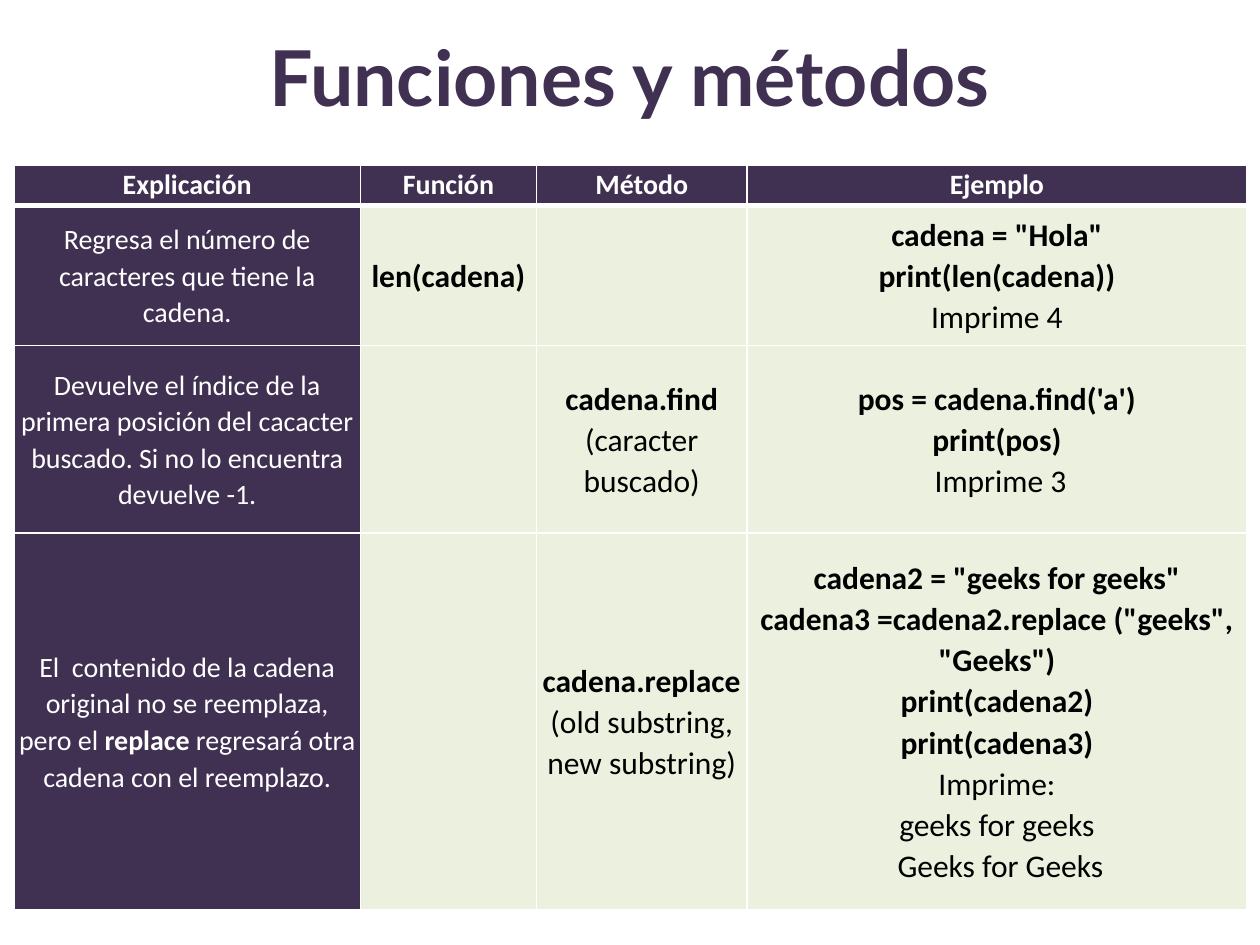
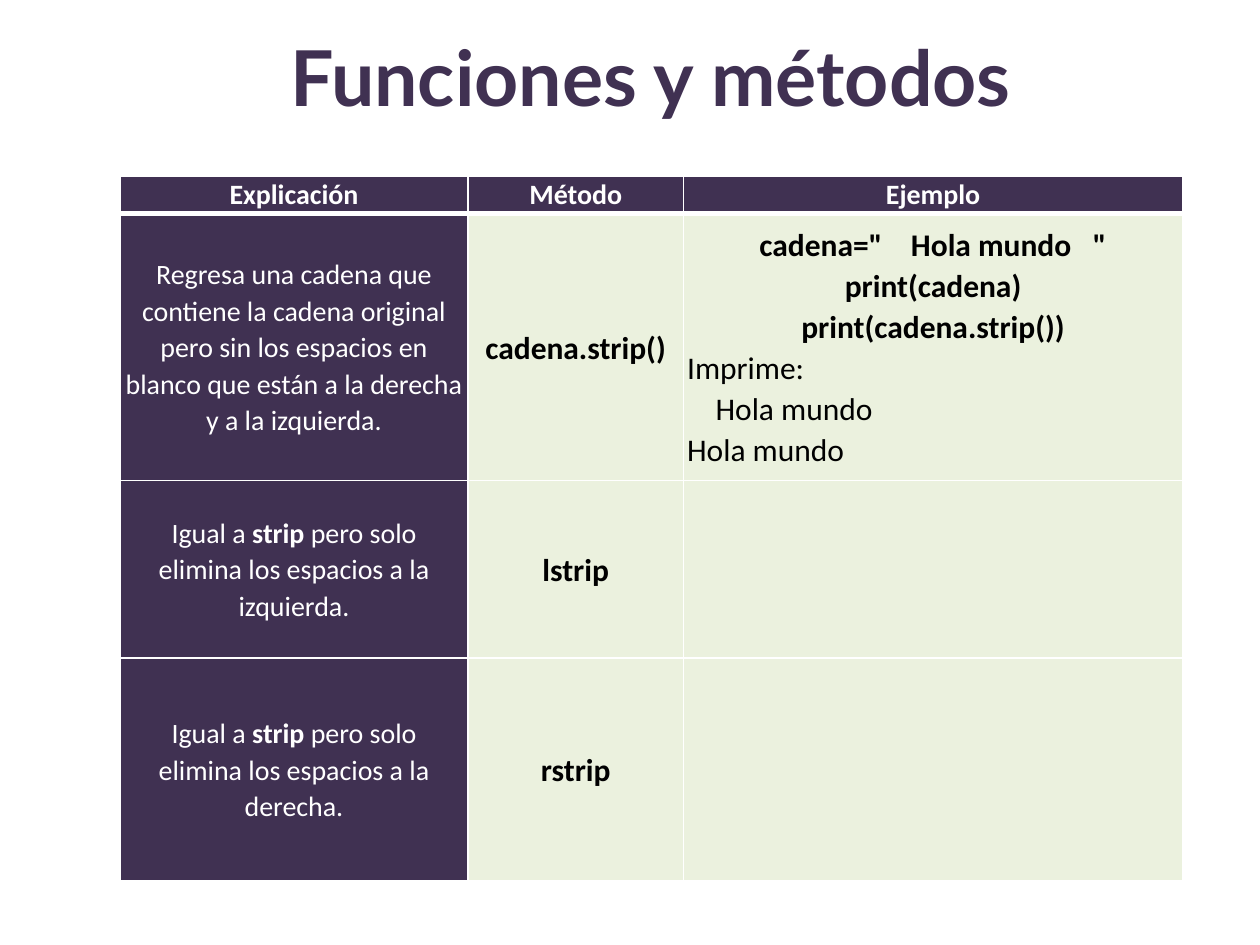
from pptx import Presentation
from pptx.util import Pt
from pptx.dml.color import RGBColor as Rgb
from pptx.enum.text import MSO_ANCHOR as Anchor, PP_ALIGN as Align
from pptx.oxml.ns import qn
from lxml.etree import SubElement as Sub

PLUM, SAGE, WHITE, BLACK = "403152", "EBF1DE", "FFFFFF", "000000"
HEAD, BODY = "Lato", "Calibri"
SMALL, LARGE = 16, 18


def color(code):
    return Rgb.from_string(code)


class Deck:
    """Holds the shared style and the current slide."""

    def __init__(self):
        self.prs = Presentation()
        self.prs.slide_width, self.prs.slide_height = Pt(720), Pt(540)
        self.slide = None

    def page(self):
        self.slide = self.prs.slides.add_slide(self.prs.slide_layouts[6])
        fill = self.slide.background.fill
        fill.solid()
        fill.fore_color.rgb = color(WHITE)

    def run(self, para, text, font, size, tint, bold):
        run = para.add_run()
        run.text = text
        run.font.name, run.font.size = font, Pt(size)
        run.font.bold, run.font.color.rgb = bold, color(tint)

    def title(self, text, left):
        box = self.slide.shapes.add_textbox(Pt(left), Pt(-2), Pt(576), Pt(90))
        frame = box.text_frame
        frame.word_wrap = True
        frame.vertical_anchor = Anchor.MIDDLE
        para = frame.paragraphs[0]
        para.alignment = Align.CENTER
        self.run(para, text, HEAD, 44, PLUM, True)

    def border(self, cell, row):
        """White rules, with a thick one below the header."""
        props = cell._tc.get_or_add_tcPr()
        thick = {"lnT": row == 1, "lnB": row == 0}
        for spot, side in enumerate(("lnL", "lnR", "lnT", "lnB")):
            width = Pt(3 if thick.get(side) else 1)
            line = props.makeelement(qn("a:" + side), {"w": str(int(width))})
            fill = Sub(line, qn("a:solidFill"))
            Sub(fill, qn("a:srgbClr"), val=WHITE)
            props.insert(spot, line)

    def label(self, cell, text, size, tint):
        """One paragraph a line; ** toggles bold, a leading < aligns left."""
        frame = cell.text_frame
        for i, line in enumerate(text.split("\n")):
            para = frame.add_paragraph() if i else frame.paragraphs[0]
            para.alignment = Align.LEFT if line.startswith("<") else Align.CENTER
            para.line_spacing = 1.07
            for j, part in enumerate(line.removeprefix("<").split("**")):
                if part:
                    self.run(para, part, BODY, size, tint, j % 2 == 1)

    def table(self, left, top, cols, rows, data, pads):
        shape = self.slide.shapes.add_table(
            len(rows), len(cols), Pt(left), Pt(top), Pt(sum(cols)), Pt(sum(rows)))
        grid = shape.table
        for col, width in zip(grid.columns, cols):
            col.width = Pt(width)
        for r, (high, texts, pad) in enumerate(zip(rows, data, pads)):
            grid.rows[r].height = Pt(high)
            for c, text in enumerate(texts):
                cell = grid.cell(r, c)
                dark = r == 0 or c == 0
                cell.fill.solid()
                cell.fill.fore_color.rgb = color(PLUM if dark else SAGE)
                cell.margin_left = cell.margin_right = Pt(pad)
                cell.margin_top = cell.margin_bottom = 0
                cell.vertical_anchor = Anchor.MIDDLE if r else Anchor.TOP
                self.border(cell, r)
                if text:
                    self.label(cell, text, SMALL if dark else LARGE,
                               WHITE if dark else BLACK)


SEARCH = [
    ["**Explicación**", "**Función**", "**Método**", "**Ejemplo**"],
    ["Regresa el número de caracteres que tiene la cadena.",
     "**len(cadena)**", "",
     '**cadena = "Hola"**\n**print(len(cadena))**\nImprime 4'],
    ["Devuelve el índice de la primera posición del cacacter buscado. "
     "Si no lo encuentra devuelve -1.",
     "", "**cadena.find **(caracter buscado)",
     "**pos = cadena.find('a')**\n**print(pos)**\n Imprime 3"],
    ["El  contenido de la cadena original no se reemplaza, "
     "pero el **replace** regresará otra cadena con el reemplazo.",
     "", "**cadena.replace**(old substring, new substring)",
     '**cadena2 = "geeks for geeks"**\n'
     '**cadena3 =cadena2.replace ("geeks", "Geeks")**\n'
     "**print(cadena2)**\n**print(cadena3)**\n"
     "Imprime:\ngeeks for geeks\n Geeks for Geeks"],
]

STRIP = [
    ["**Explicación**", "**Método**", "**Ejemplo**"],
    ["Regresa una cadena que contiene la cadena original pero sin los "
     "espacios en blanco que están a la derecha y a la izquierda.",
     "**cadena.strip()**",
     '**cadena="    Hola mundo   "**\n**print(cadena)**\n'
     "**print(cadena.strip())**\n"
     "<Imprime:\n<    Hola mundo\n<Hola mundo"],
    ["Igual a **strip **pero solo elimina los espacios a la izquierda.",
     "**lstrip**", ""],
    ["Igual a **strip** pero solo elimina los espacios a la derecha.",
     "**rstrip**", ""],
]


def main():
    deck = Deck()
    name = "Funciones y métodos"

    # Length, find and replace
    deck.page()
    deck.title(name, 72)
    deck.table(8, 94.5, [198, 100.5, 120.5, 285.5], [23, 80, 107, 215.5],
               SEARCH, [2.16] * 4)

    # Strip family
    deck.page()
    deck.title(name, 84)
    deck.table(68.5, 100.5, [199, 123, 285.5], [21.5, 152.5, 101.5, 127.5],
               STRIP, [2.16, 2.16, 5, 5])

    deck.prs.save("out.pptx")


if __name__ == "__main__":
    main()
